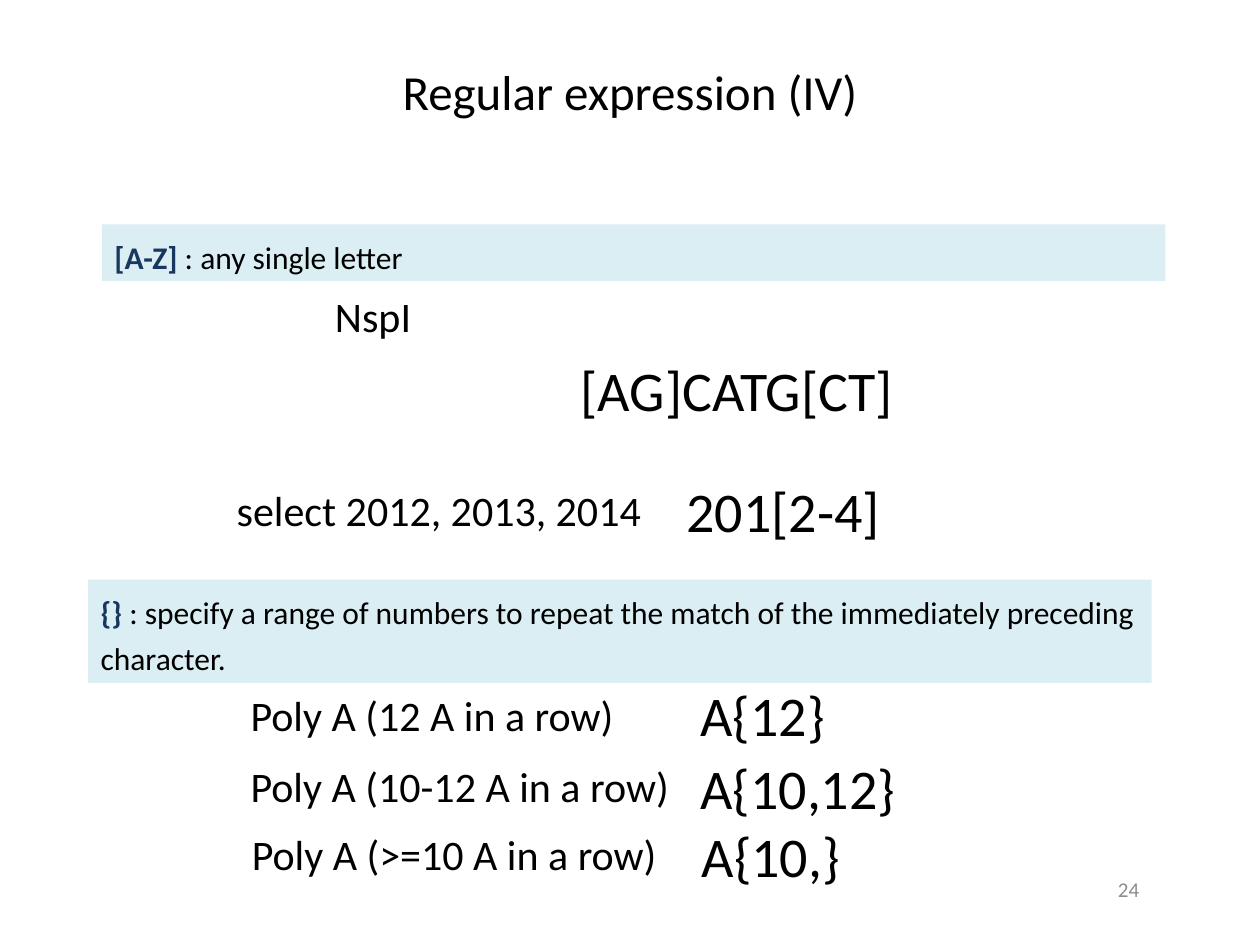
from pptx import Presentation
from pptx.dml.color import RGBColor
from pptx.enum.shapes import MSO_SHAPE
from pptx.enum.text import MSO_ANCHOR, MSO_AUTO_SIZE, PP_ALIGN
from pptx.util import Inches, Pt

FONT = "Calibri"
COLORS = {"text": "000000", "symbol": "17375E", "band": "DBEEF4", "number": "8C8C8C"}

TITLE = "Regular expression (IV)"
PAGE_NUMBER = "24"

# left, top, height, symbol, explanation
RULES = [
    (0.81, 1.78, 0.45, "[A-Z]", " : any single letter"),
    (0.7, 4.6, 0.82, "{}", " : specify a range of numbers to repeat the match "
                           "of the immediately preceding character."),
]
RULE_WIDTH = 8.44

# text, left, top, width
TASKS = [
    ("NspI", 2.56, 2.26, 0.81),
    ("select 2012, 2013, 2014", 1.78, 3.8, 3.52),
    ("Poly A (12 A in a row)", 1.89, 5.42, 3.13),
    ("Poly A (10-12 A in a row)", 1.89, 5.99, 3.57),
    ("Poly A (>=10 A in a row)", 1.9, 6.53, 3.46),
]
PATTERNS = [
    ("[AG]CATG[CT]", 4.51, 2.77, 2.75),
    ("201[2-4]", 5.35, 3.73, 1.75),
    ("A{12}", 5.46, 5.35, 1.2),
    ("A{10,12}", 5.46, 5.93, 1.77),
    ("A{10,}", 5.47, 6.47, 1.31),
]
# entries, text size, box height
LABEL_GROUPS = [(TASKS, 24, 0.5), (PATTERNS, 32, 0.64)]


def style(r, size, color="text", bold=False):
    r.font.name = FONT
    r.font.size = Pt(size)
    r.font.bold = bold
    r.font.color.rgb = RGBColor.from_string(COLORS[color])


def add_rule(s, left, top, height, symbol, explanation):
    """Add a tinted band holding a bold symbol and its explanation."""
    sp = s.shapes.add_shape(MSO_SHAPE.RECTANGLE, Inches(left), Inches(top),
                            Inches(RULE_WIDTH), Inches(height))
    sp.shadow.inherit = False
    sp.fill.solid()
    sp.fill.fore_color.rgb = RGBColor.from_string(COLORS["band"])
    sp.line.fill.background()
    tf = sp.text_frame
    tf.word_wrap = True
    tf.auto_size = MSO_AUTO_SIZE.SHAPE_TO_FIT_TEXT
    tf.vertical_anchor = MSO_ANCHOR.TOP
    p = tf.paragraphs[0]
    p.alignment = PP_ALIGN.LEFT
    p.line_spacing = 1.2
    for text, color, bold in [(symbol, "symbol", True), (explanation, "text", False)]:
        r = p.add_run()
        r.text = text
        style(r, 18, color, bold)


def add_text(s, text, left, top, width, height, size, color="text"):
    tf = s.shapes.add_textbox(Inches(left), Inches(top),
                              Inches(width), Inches(height)).text_frame
    tf.text = text
    tf.word_wrap = False
    style(tf.paragraphs[0].runs[0], size, color)
    return tf


def main():
    prs = Presentation()
    prs.slide_width, prs.slide_height = Inches(10), Inches(7.5)
    s = prs.slides.add_slide(prs.slide_layouts[5])

    title = s.shapes.title
    title.left, title.top = Inches(0.5), Inches(0.3)
    title.width, title.height = Inches(9), Inches(0.85)
    tf = title.text_frame
    tf.text = TITLE
    tf.vertical_anchor = MSO_ANCHOR.MIDDLE
    tf.paragraphs[0].alignment = PP_ALIGN.CENTER
    style(tf.paragraphs[0].runs[0], 28)

    for rule in RULES:
        add_rule(s, *rule)

    for entries, size, height in LABEL_GROUPS:
        for text, left, top, width in entries:
            tf = add_text(s, text, left, top, width, height, size)
            tf.auto_size = MSO_AUTO_SIZE.SHAPE_TO_FIT_TEXT

    tf = add_text(s, PAGE_NUMBER, 6.81, 6.86, 2.33, 0.4, 12, "number")
    tf.word_wrap = True
    tf.vertical_anchor = MSO_ANCHOR.MIDDLE
    tf.paragraphs[0].alignment = PP_ALIGN.RIGHT

    prs.save("out.pptx")


if __name__ == "__main__":
    main()
